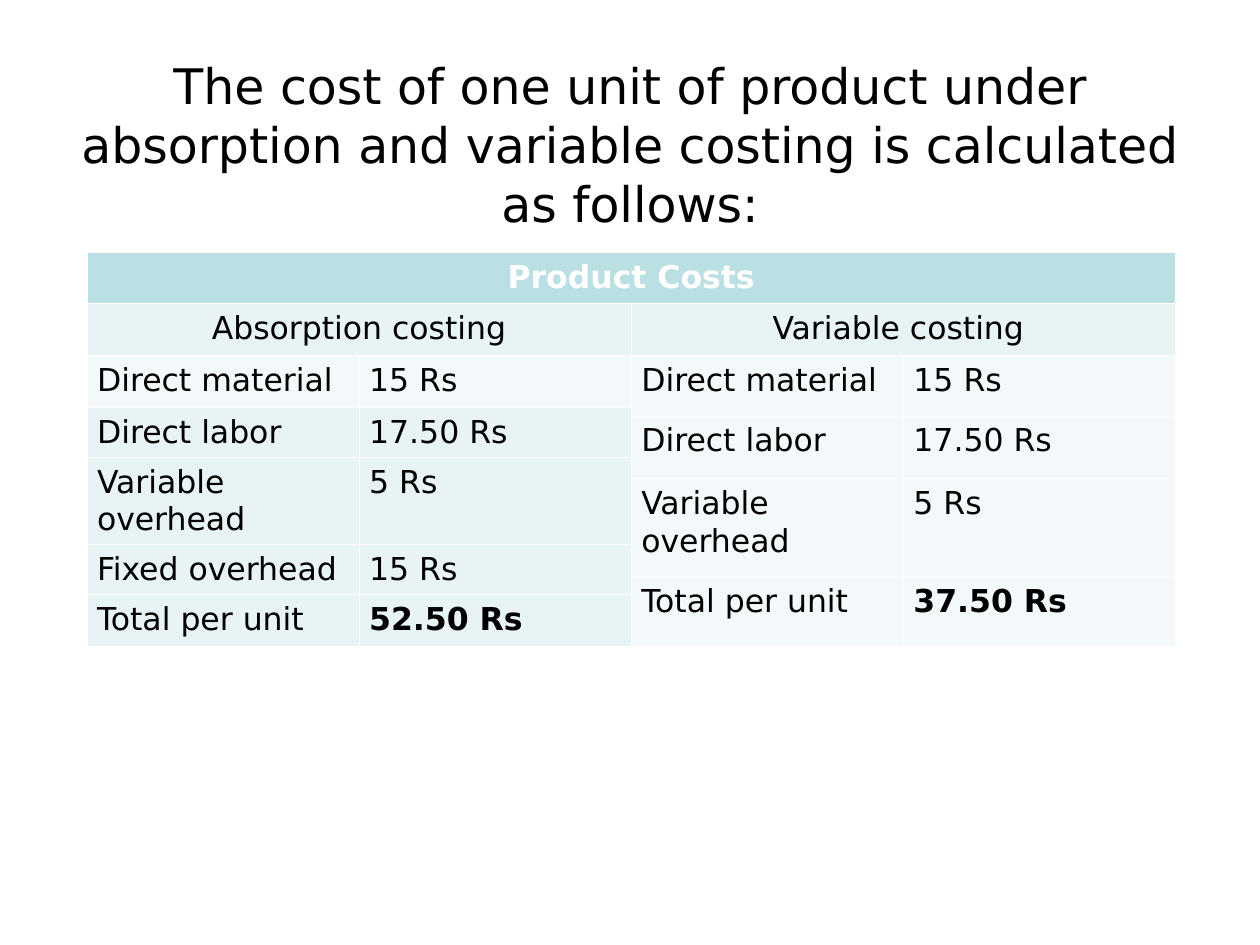
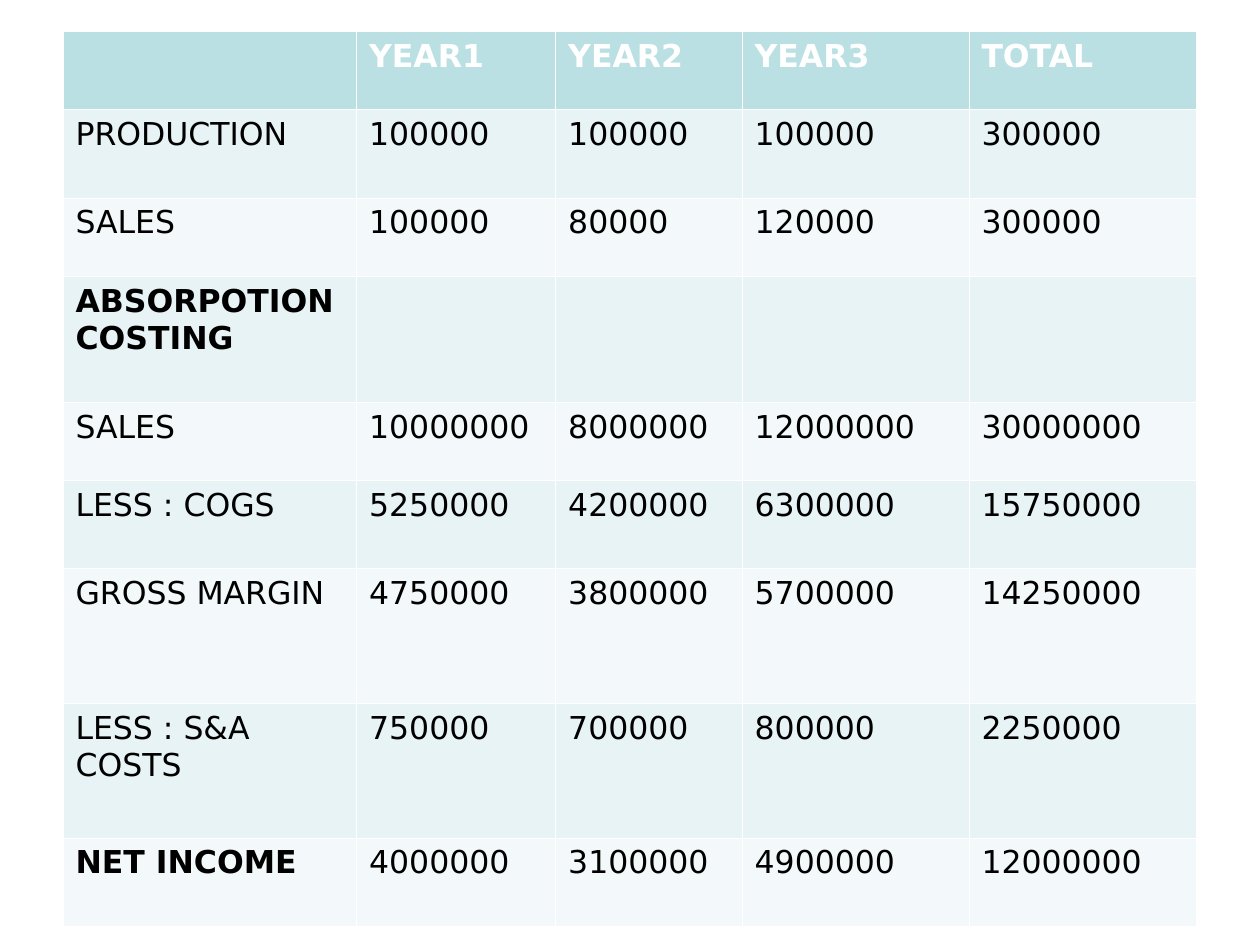
from lxml import etree
from pptx import Presentation
from pptx.dml.color import RGBColor
from pptx.enum.text import MSO_ANCHOR, MSO_AUTO_SIZE, PP_ALIGN
from pptx.oxml.ns import qn
from pptx.util import Inches, Pt

BLACK = RGBColor(0x00, 0x00, 0x00)
WHITE = RGBColor(0xFF, 0xFF, 0xFF)
HEADER = RGBColor(0xBB, 0xE0, 0xE3)
BAND_DARK = RGBColor(0xE7, 0xF3, 0xF4)
BAND_LIGHT = RGBColor(0xF3, 0xF9, 0xFA)

LEFT, CENTER = PP_ALIGN.LEFT, PP_ALIGN.CENTER
MIDDLE = MSO_ANCHOR.MIDDLE
NO_AUTOFIT = MSO_AUTO_SIZE.NONE
TITLE_ONLY, BLANK = 5, 6


class DeckBuilder:
    """Holds the deck style and the current slide."""

    font = "DejaVu Sans"
    title_size = Pt(28)
    cell_size = Pt(18)
    line_spacing = 1.02
    thin, thick = Pt(0.23), Pt(0.75)

    def __init__(self):
        self.deck = Presentation()
        self.deck.slide_width = Inches(10)
        self.deck.slide_height = Inches(7.5)
        self.page = None

    def add_page(self, layout):
        self.page = self.deck.slides.add_slide(self.deck.slide_layouts[layout])

    def add_text(self, para, text, size, color, bold=False, align=LEFT):
        para.alignment = align
        span = para.add_run()
        span.text = text
        span.font.name = self.font
        span.font.size = size
        span.font.bold = bold
        span.font.color.rgb = color

    def title(self, text, left, top, width, height, bottom_inset):
        box = self.page.shapes.title
        box.left, box.top = Inches(left), Inches(top)
        box.width, box.height = Inches(width), Inches(height)
        frame = box.text_frame
        frame.word_wrap = True
        frame.auto_size = NO_AUTOFIT
        frame.vertical_anchor = MIDDLE
        frame.margin_bottom = Inches(bottom_inset)
        self.add_text(frame.paragraphs[0], text, self.title_size, BLACK, align=CENTER)

    def table(self, left, top, widths, heights):
        """Add a plain table with thin white rules and a thicker one below the header."""
        frame = self.page.shapes.add_table(
            len(heights), len(widths), Inches(left), Inches(top),
            Inches(sum(widths)), Inches(sum(heights)))
        table = frame.table
        table.first_row = table.horz_banding = False
        for column, width in zip(table.columns, widths):
            column.width = Inches(width)
        for index, (row, height) in enumerate(zip(table.rows, heights)):
            row.height = Inches(height)
            for cell in row.cells:
                self.borders(cell, index)
        return table

    def borders(self, cell, row):
        properties = cell._tc.get_or_add_tcPr()
        widths = {"a:lnL": self.thin, "a:lnR": self.thin,
                  "a:lnT": self.thick if row == 1 else self.thin,
                  "a:lnB": self.thick if row == 0 else self.thin}
        for tag, width in widths.items():
            line = etree.SubElement(properties, qn(tag), w=str(int(width)))
            solid = etree.SubElement(line, qn("a:solidFill"))
            etree.SubElement(solid, qn("a:srgbClr"), val=str(WHITE))

    def cell(self, table, row, column, text, fill, color=BLACK, bold=False,
             align=LEFT, rows=1, columns=1, inset=0.1):
        cell = table.cell(row, column)
        if rows > 1 or columns > 1:
            cell.merge(table.cell(row + rows - 1, column + columns - 1))
        cell.fill.solid()
        cell.fill.fore_color.rgb = fill
        cell.margin_left = cell.margin_right = Inches(inset)
        cell.margin_top = cell.margin_bottom = Inches(0.05)
        if text:
            para = cell.text_frame.paragraphs[0]
            para.line_spacing = self.line_spacing
            self.add_text(para, text, self.cell_size, color, bold, align)


def product_costs(builder):
    builder.add_page(TITLE_ONLY)
    builder.title("The cost of one unit of product under absorption and variable "
                  "costing is calculated as follows:", 0.5, 0.75, 9, 1.25, 0.52)

    # Header rows
    heights = [0.41, 0.41, 0.41, 0.07, 0.33, 0.17, 0.52, 0.25, 0.12, 0.41]
    table = builder.table(0.69, 2, [2.16] * 4, heights)
    inset = 0.08
    builder.cell(table, 0, 0, "Product Costs", HEADER, WHITE, True, CENTER,
                 columns=4, inset=inset)
    for column, heading in ((0, "Absorption costing"), (2, "Variable costing ")):
        builder.cell(table, 1, column, heading, BAND_DARK, align=CENTER,
                     columns=2, inset=inset)

    # Two cost lists whose items span different numbers of grid rows
    absorption = [(2, "Direct material", "15 Rs"), (3, "Direct labor", "17.50 Rs"),
                  (5, "Variable overhead", "5 Rs"), (7, "Fixed overhead", "15 Rs"),
                  (9, "Total per unit", "52.50 Rs")]
    variable = [(2, "Direct material", "15 Rs"), (4, "Direct labor", "17.50 Rs"),
                (6, "Variable overhead", "5 Rs"), (8, "Total per unit", "37.50 Rs")]
    for column, costs in ((0, absorption), (2, variable)):
        ends = [start for start, *_ in costs[1:]] + [len(heights)]
        for (start, label, amount), end in zip(costs, ends):
            fill = BAND_DARK if column == 0 and start > 2 else BAND_LIGHT
            is_total = label.startswith("Total")
            builder.cell(table, start, column, label, fill,
                         rows=end - start, inset=inset)
            builder.cell(table, start, column + 1, amount, fill, bold=is_total,
                         rows=end - start, inset=inset)


def income_by_year(builder):
    builder.add_page(BLANK)
    records = [
        ("", "YEAR1", "YEAR2", "YEAR3", "TOTAL"),
        ("PRODUCTION", "100000", "100000", "100000", "300000"),
        ("SALES", "100000", "80000", "120000", "300000"),
        ("ABSORPOTION COSTING", "", "", "", ""),
        ("SALES", "10000000", "8000000", "12000000", "30000000"),
        ("LESS : COGS", "5250000", "4200000", "6300000", "15750000"),
        ("GROSS MARGIN", "4750000", "3800000", "5700000", "14250000"),
        ("LESS : S&A COSTS", "750000", "700000", "800000", "2250000"),
        ("NET INCOME", "4000000", "3100000", "4900000", "12000000"),
    ]
    bold_labels = ("ABSORPOTION COSTING", "NET INCOME")
    table = builder.table(0.5, 0.25, [2.33, 1.58, 1.48, 1.8, 1.8],
                          [0.62, 0.7, 0.62, 1, 0.62, 0.7, 1.07, 1.07, 0.7])
    for row, record in enumerate(records):
        is_header = row == 0
        band = BAND_DARK if row % 2 else BAND_LIGHT
        for column, text in enumerate(record):
            builder.cell(table, row, column, text,
                         HEADER if is_header else band,
                         WHITE if is_header else BLACK,
                         is_header or text in bold_labels)


def main():
    builder = DeckBuilder()
    product_costs(builder)
    income_by_year(builder)
    builder.deck.save("out.pptx")


if __name__ == "__main__":
    main()
